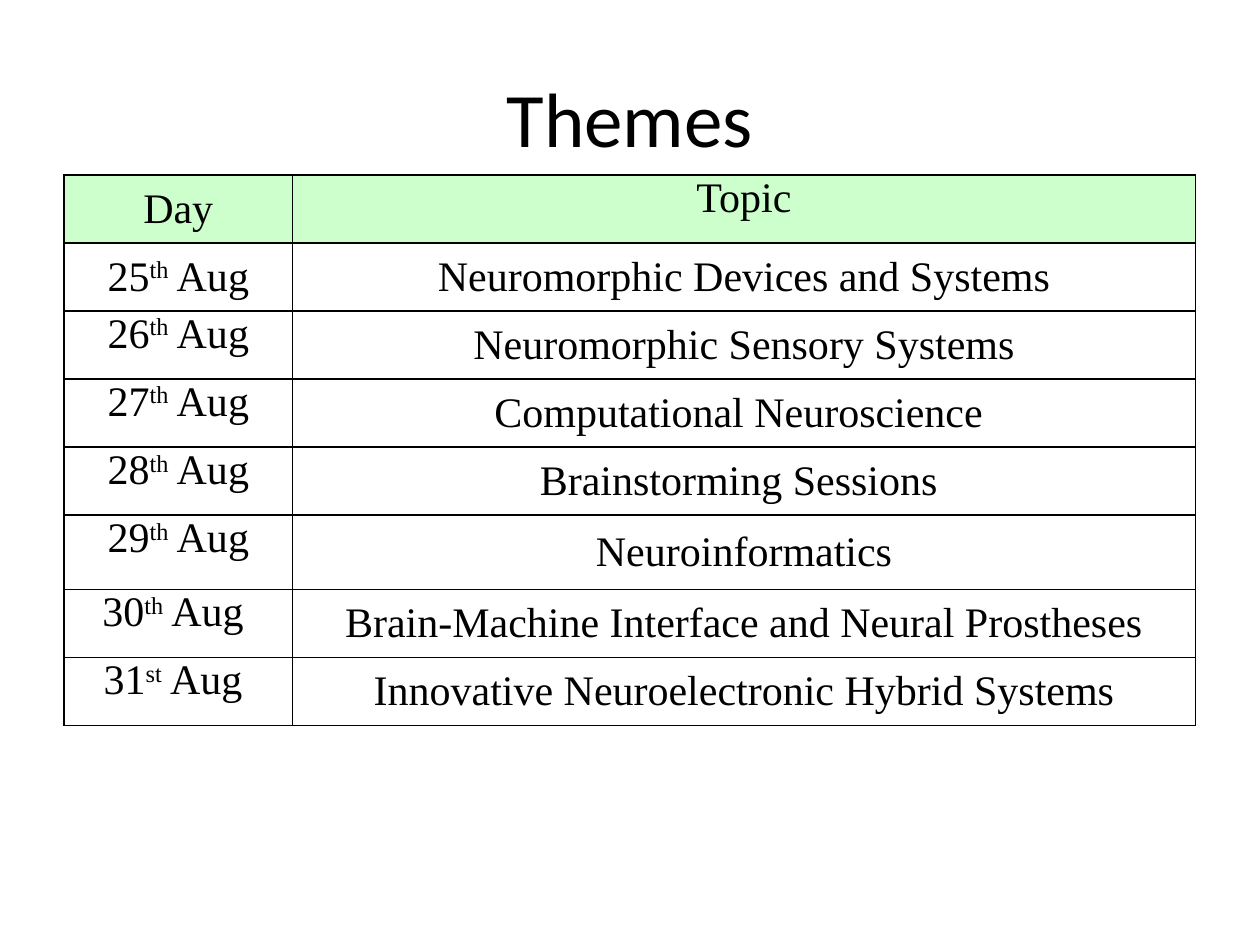
from dataclasses import dataclass

from lxml.etree import SubElement
from pptx import Presentation
from pptx.dml.color import RGBColor as Color
from pptx.enum.text import MSO_ANCHOR as Anchor, PP_ALIGN as Align
from pptx.oxml.ns import qn
from pptx.util import Inches, Pt


@dataclass(frozen=True)
class Theme:
    ink: str = "000000"
    header_fill: str = "CCFFCC"
    title_font: str = "Calibri"
    table_font: str = "Times New Roman"
    title_size: int = 44
    table_size: int = 24
    border_width: int = 1


THEME = Theme()
HEADINGS = ("Day", "Topic")
# Day number, ordinal suffix, month, topic
SCHEDULE = (
    ("25", "th", " Aug", "Neuromorphic Devices and Systems"),
    ("26", "th", " Aug", "Neuromorphic Sensory Systems"),
    ("27", "th", " Aug", "Computational Neuroscience "),
    ("28", "th", " Aug", "Brainstorming Sessions "),
    ("29", "th", " Aug", "Neuroinformatics"),
    ("30", "th", " Aug ", "Brain-Machine Interface and Neural Prostheses"),
    ("31", "st", " Aug ", "Innovative Neuroelectronic Hybrid Systems"),
)
COLUMN_WIDTHS = (1.81, 7.17)
ROW_HEIGHT = 0.54
TALL_ROW, TALL_HEIGHT = 5, 0.59


def style_paragraph(para, font_name, size):
    para.alignment = Align.CENTER
    para.font.name = font_name
    para.font.size = Pt(size)
    para.font.color.rgb = Color.from_string(THEME.ink)


def add_title(slide, text):
    box = slide.shapes.add_textbox(Inches(0.5), Inches(0.3), Inches(9), Inches(1.25))
    frame = box.text_frame
    frame.word_wrap = True
    frame.vertical_anchor = Anchor.MIDDLE
    para = frame.paragraphs[0]
    para.text = text
    style_paragraph(para, THEME.title_font, THEME.title_size)


def add_borders(cell):
    properties = cell._tc.get_or_add_tcPr()
    for side in ("a:lnL", "a:lnR", "a:lnT", "a:lnB"):
        line = SubElement(properties, qn(side), w=str(Pt(THEME.border_width)))
        fill = SubElement(line, qn("a:solidFill"))
        SubElement(fill, qn("a:srgbClr"), val=THEME.ink)


def fill_cell(cell, parts, anchor, fill=None):
    """Write the parts as runs; the second part, if any, is superscript."""
    cell.margin_left = cell.margin_right = Inches(0.07)
    cell.margin_top = cell.margin_bottom = 0
    cell.vertical_anchor = anchor
    para = cell.text_frame.paragraphs[0]
    style_paragraph(para, THEME.table_font, THEME.table_size)
    para.space_before = para.space_after = Pt(6)
    for index, part in enumerate(parts):
        span = para.add_run()
        span.text = part
        if index == 1:
            span.font._element.set("baseline", "30000")
    add_borders(cell)
    if fill:
        cell.fill.solid()
        cell.fill.fore_color.rgb = Color.from_string(fill)
    else:
        cell.fill.background()


def add_schedule(slide):
    row_count = len(SCHEDULE) + 1
    heights = [TALL_HEIGHT if row == TALL_ROW else ROW_HEIGHT for row in range(row_count)]
    table = slide.shapes.add_table(
        row_count, len(HEADINGS), Inches(0.51), Inches(1.39),
        Inches(sum(COLUMN_WIDTHS)), Inches(sum(heights)),
    ).table
    table.first_row = table.horz_banding = False
    for column, width in zip(table.columns, COLUMN_WIDTHS):
        column.width = Inches(width)
    for row, height in zip(table.rows, heights):
        row.height = Inches(height)

    # Header row
    for column, (heading, anchor) in enumerate(zip(HEADINGS, (Anchor.MIDDLE, Anchor.TOP))):
        fill_cell(table.cell(0, column), [heading], anchor, THEME.header_fill)

    # One row per day; only the first date is centred vertically
    for row, (*date, topic) in enumerate(SCHEDULE, start=1):
        fill_cell(table.cell(row, 0), date, Anchor.MIDDLE if row == 1 else Anchor.TOP)
        fill_cell(table.cell(row, 1), [topic], Anchor.MIDDLE)


def main():
    deck = Presentation()
    deck.slide_width, deck.slide_height = Inches(10), Inches(7.5)
    page = deck.slides.add_slide(deck.slide_layouts[6])
    add_title(page, "Themes")
    add_schedule(page)
    deck.save("out.pptx")


main()
